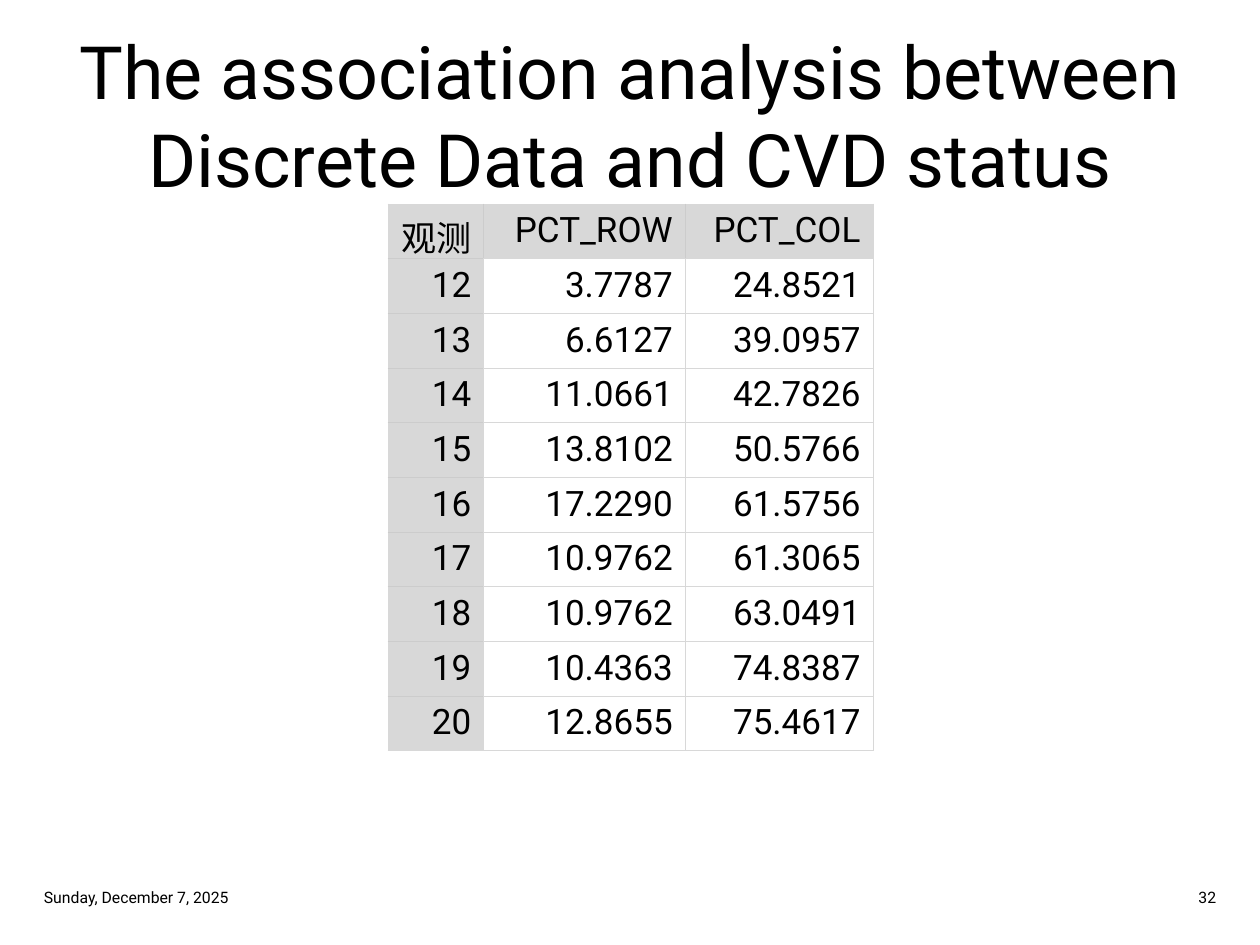
from lxml.etree import SubElement
from pptx import Presentation
from pptx.dml.color import RGBColor
from pptx.enum.text import MSO_ANCHOR, PP_ALIGN
from pptx.oxml.ns import qn
from pptx.util import Inches, Pt

COLORS = {"text": "000000", "shade": "D8D8D8", "inner": "CCCCCC", "body": "FFFFFF"}
FONT = "Roboto"
COLUMN_WIDTHS = [0.76, 1.6, 1.49]
ROW_HEIGHT = 0.42
ROWS = [
    ("观测", "PCT_ROW", "PCT_COL"),
    ("12", "3.7787", "24.8521"),
    ("13", "6.6127", "39.0957"),
    ("14", "11.0661", "42.7826"),
    ("15", "13.8102", "50.5766"),
    ("16", "17.2290", "61.5756"),
    ("17", "10.9762", "61.3065"),
    ("18", "10.9762", "63.0491"),
    ("19", "10.4363", "74.8387"),
    ("20", "12.8655", "75.4617"),
]


def write_text(frame, text, size, align):
    frame.text = text
    for paragraph in frame.paragraphs:
        paragraph.alignment = align
        for run in paragraph.runs:
            run.font.name = FONT
            run.font.size = Pt(size)
            run.font.color.rgb = RGBColor.from_string(COLORS["text"])


def add_label(slide, box, text, size, align):
    label = slide.shapes.add_textbox(*map(Inches, box))
    frame = label.text_frame
    frame.word_wrap = True
    frame.vertical_anchor = MSO_ANCHOR.MIDDLE
    write_text(frame, text, size, align)


def add_border(cell, side, color):
    border = SubElement(cell._tc.get_or_add_tcPr(), qn(f"a:ln{side}"), w=str(Pt(0.5)))
    fill = SubElement(border, qn("a:solidFill"))
    SubElement(fill, qn("a:srgbClr"), val=color)


def style_cell(cell, row, column):
    shaded = row == 0 or column == 0
    outer_sides = {
        "L": column == 0,
        "R": column == len(COLUMN_WIDTHS) - 1,
        "T": row == 0,
        "B": row == len(ROWS) - 1,
    }
    for side, outer in outer_sides.items():
        add_border(cell, side, COLORS["inner" if shaded and not outer else "shade"])
    cell.fill.solid()
    cell.fill.fore_color.rgb = RGBColor.from_string(COLORS["shade" if shaded else "body"])


def add_percent_table(slide, left, top):
    width = Inches(sum(COLUMN_WIDTHS))
    height = Inches(ROW_HEIGHT * len(ROWS))
    table = slide.shapes.add_table(
        len(ROWS), len(COLUMN_WIDTHS), Inches(left), Inches(top), width, height
    ).table
    table.first_col = True
    table.horz_banding = False
    for column, column_width in zip(table.columns, COLUMN_WIDTHS):
        column.width = Inches(column_width)
    for row, values in enumerate(ROWS):
        table.rows[row].height = Inches(ROW_HEIGHT)
        for column, value in enumerate(values):
            cell = table.cell(row, column)
            write_text(cell.text_frame, value, 20, PP_ALIGN.RIGHT)
            for run in cell.text_frame.paragraphs[0].runs:
                run.font.bold = False
            style_cell(cell, row, column)


def add_footer(slide, left, top, width, height):
    part_width = 2.38
    add_label(slide, (left, top, part_width, height),
              "Sunday, December 7, 2025", 9, PP_ALIGN.LEFT)
    add_label(slide, (left + width - part_width, top, part_width, height),
              "32", 9, PP_ALIGN.RIGHT)


def main():
    presentation = Presentation()
    presentation.slide_width = Inches(10)
    presentation.slide_height = Inches(7.5)
    slide = presentation.slides.add_slide(presentation.slide_layouts[6])
    add_label(slide, (0.25, 0.25, 9.5, 1.31),
              "The association analysis between\vDiscrete Data and CVD status",
              42, PP_ALIGN.CENTER)
    add_percent_table(slide, 3.08, 1.62)
    add_footer(slide, 0.25, 6.99, 9.5, 0.26)
    presentation.save("out.pptx")


if __name__ == "__main__":
    main()
